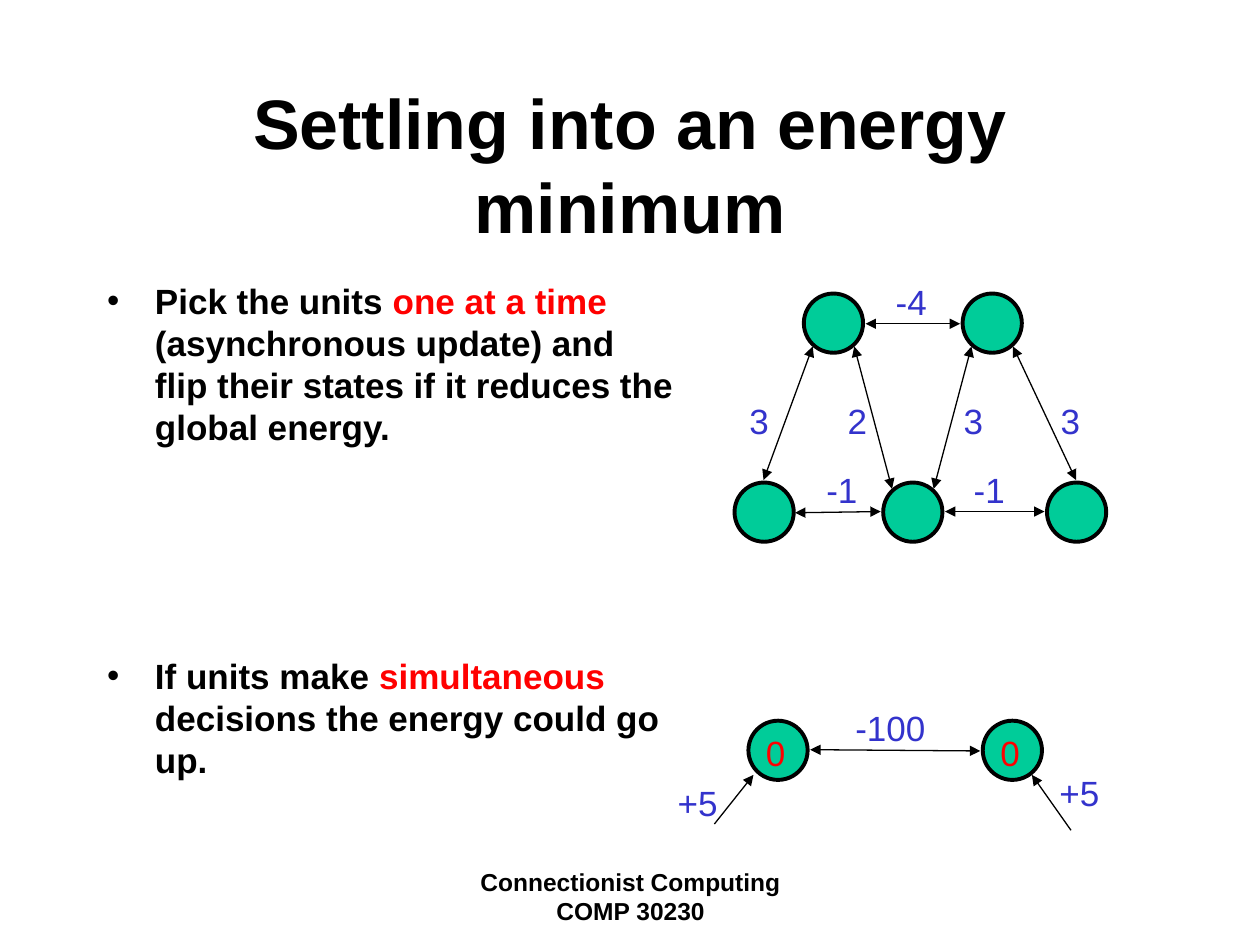
from lxml.etree import SubElement
from pptx import Presentation
from pptx.dml.color import RGBColor
from pptx.enum.shapes import MSO_CONNECTOR, MSO_SHAPE
from pptx.enum.text import MSO_ANCHOR, MSO_AUTO_SIZE, PP_ALIGN
from pptx.oxml.ns import qn
from pptx.util import Inches, Pt

COLOURS = {"ink": "000000", "accent": "FF0000", "weight": "3333CC", "unit": "00CC99"}
DIAMETER = 0.47


class EnergySlide:
    """Holds the style and the current slide, and draws each kind of element."""

    def __init__(self, deck, font="Arial"):
        self.page = deck.slides.add_slide(deck.slide_layouts[1])
        self.font = font

    def colour(self, name):
        return RGBColor.from_string(COLOURS[name])

    def format(self, span, size, colour, bold=False):
        span.font.name = self.font
        span.font.size = Pt(size)
        span.font.bold = bold
        span.font.color.rgb = self.colour(colour)

    def place(self, box, left, top, width, height):
        box.left, box.top = Inches(left), Inches(top)
        box.width, box.height = Inches(width), Inches(height)

    def title(self, text):
        box = self.page.shapes.title
        self.place(box, 0.75, 0.67, 8.5, 1.25)
        frame = box.text_frame
        frame.text = text
        frame.auto_size = MSO_AUTO_SIZE.NONE
        frame.vertical_anchor = MSO_ANCHOR.MIDDLE
        para = frame.paragraphs[0]
        para.alignment = PP_ALIGN.CENTER
        self.format(para.runs[0], 40, "ink", bold=True)

    def bullets(self, items):
        box = self.page.placeholders[1]
        self.place(box, 0.75, 2.17, 4.7, 4.5)
        frame = box.text_frame
        frame.auto_size = MSO_AUTO_SIZE.NONE
        for index, (gap, parts) in enumerate(items):
            para = frame.add_paragraph() if index else frame.paragraphs[0]
            para.space_before = Pt(gap)
            properties = para._p.get_or_add_pPr()
            properties.set("marL", str(Inches(0.38)))
            properties.set("indent", str(-Inches(0.38)))
            for text, colour in parts:
                span = para.add_run()
                span.text = text
                self.format(span, 20, colour, bold=True)

    def label(self, text, left, top, width=0.6, height=0.44, size=20,
              colour="weight", bold=False, alignment=PP_ALIGN.LEFT):
        box = self.page.shapes.add_textbox(
            Inches(left), Inches(top), Inches(width), Inches(height))
        frame = box.text_frame
        frame.word_wrap = True
        frame.text = text
        para = frame.paragraphs[0]
        para.alignment = alignment
        self.format(para.runs[0], size, colour, bold)

    def unit(self, left, top):
        circle = self.page.shapes.add_shape(
            MSO_SHAPE.OVAL, Inches(left), Inches(top), Inches(DIAMETER), Inches(DIAMETER))
        circle.shadow.inherit = False
        circle.fill.solid()
        circle.fill.fore_color.rgb = self.colour("unit")
        circle.line.color.rgb = self.colour("ink")
        circle.line.width = Pt(2.25)

    def arrow(self, start, end, ends=("headEnd", "tailEnd")):
        line = self.page.shapes.add_connector(
            MSO_CONNECTOR.STRAIGHT, *(Inches(value) for value in (*start, *end)))
        line.line.color.rgb = self.colour("ink")
        line.line.width = Pt(0.75)
        outline = line.line._get_or_add_ln()
        for name in ends:
            SubElement(outline, qn(f"a:{name}"), type="triangle")
        SubElement(line._element.spPr, qn("a:effectLst"))


def main():
    deck = Presentation()
    deck.slide_width, deck.slide_height = Inches(10), Inches(7.5)
    slide = EnergySlide(deck)

    slide.title("Settling into an energy minimum")
    slide.bullets([
        (5, [("Pick the units ", "ink"), ("one at a time", "accent"),
             (" (asynchronous update) and flip their states if it reduces "
              "the global energy.", "ink")]),
        (118, [("If units make ", "ink"), ("simultaneous", "accent"),
               (" decisions the energy could go up.", "ink")]),
    ])
    slide.label("Connectionist Computing COMP 30230", 3.42, 6.83, 3.17, 0.5,
                size=14, colour="ink", bold=True, alignment=PP_ALIGN.CENTER)

    unit_rows = {2.33: (6.38, 7.64), 3.83: (5.83, 7.01, 8.31), 5.72: (5.94, 7.8)}
    for top, lefts in unit_rows.items():
        for left in lefts:
            slide.unit(left, top)

    for start, end in [
        ((6.87, 2.57), (7.62, 2.57)),
        ((6.31, 4.07), (6.99, 4.06)),
        ((7.5, 4.06), (8.29, 4.06)),
        ((6.06, 3.81), (6.45, 2.75)),
        ((6.78, 2.75), (7.08, 3.88)),
        ((7.41, 3.88), (7.71, 2.75)),
        ((8.04, 2.75), (8.54, 3.81)),
        ((6.43, 5.95), (7.78, 5.96)),
    ]:
        slide.arrow(start, end)
    for start, end in [((5.67, 6.54), (5.98, 6.15)), ((8.5, 6.59), (8.19, 6.15))]:
        slide.arrow(start, end, ends=("tailEnd",))

    weight_rows = {
        2.18: [("-4", 7.01)],
        3.12: [("3", 5.85), ("2", 6.63), ("3", 7.55), ("3", 8.32)],
        3.67: [("-1", 6.46), ("-1", 7.63)],
        6.15: [("+5", 5.28)],
        6.07: [("+5", 8.31)],
    }
    for top, weights in weight_rows.items():
        for text, left in weights:
            slide.label(text, left, top)
    slide.label("-100", 6.69, 5.56, 0.94)
    for left in unit_rows[5.72]:
        slide.label("0", left + 0.04, 5.76, 0.39, colour="accent")

    deck.save("out.pptx")


if __name__ == "__main__":
    main()
